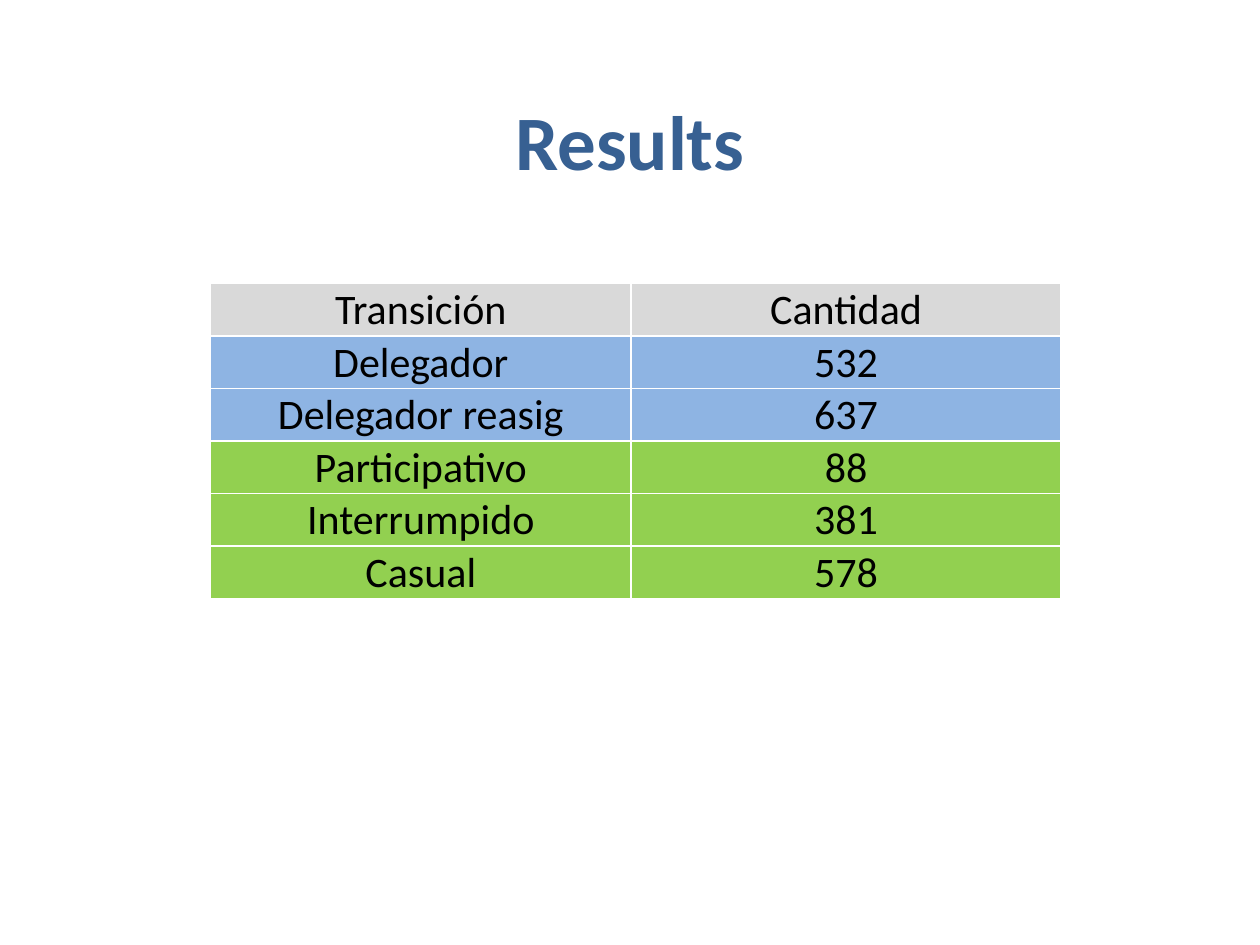
from dataclasses import dataclass

from lxml import etree
from pptx import Presentation
from pptx import util as u
from pptx.dml.color import RGBColor
from pptx.enum import text
from pptx.oxml import ns


@dataclass(frozen=True)
class Theme:
    font: str = "Calibri"
    title: str = "376092"
    ink: str = "000000"
    header: str = "D9D9D9"
    blue: str = "8EB4E3"
    green: str = "92D050"
    border: str = "FFFFFF"
    title_size: int = 44
    cell_size: int = 24
    border_width: int = 1


@dataclass(frozen=True)
class Row:
    label: str
    value: str
    fill: str


THEME = Theme()
COLUMN_WIDTHS = (3.34, 3.41)
ROW_HEIGHT = 0.41
ROWS = (
    Row("Transición", "Cantidad", THEME.header),
    Row("Delegador", "532", THEME.blue),
    Row("Delegador reasig", "637", THEME.blue),
    Row("Participativo", "88", THEME.green),
    Row("Interrumpido", "381", THEME.green),
    Row("Casual", "578", THEME.green),
)


def write(tf, words: str, size: int, color: str, bold: bool = False) -> None:
    p = tf.paragraphs[0]
    p.alignment = text.PP_ALIGN.CENTER
    r = p.add_run()
    r.text = words
    r.font.name = THEME.font
    r.font.size = u.Pt(size)
    r.font.bold = bold
    r.font.color.rgb = RGBColor.from_string(color)


def add_borders(cell) -> None:
    props = cell._tc.get_or_add_tcPr()
    for i, side in enumerate(("lnL", "lnR", "lnT", "lnB")):
        ln = etree.Element(ns.qn(f"a:{side}"), w=str(u.Pt(THEME.border_width)))
        solid = etree.SubElement(ln, ns.qn("a:solidFill"))
        etree.SubElement(solid, ns.qn("a:srgbClr"), val=THEME.border)
        props.insert(i, ln)


def format_cell(cell, words: str, fill: str) -> None:
    cell.margin_left = cell.margin_right = cell.margin_top = u.Inches(0.01)
    cell.margin_bottom = 0
    cell.vertical_anchor = text.MSO_ANCHOR.BOTTOM
    cell.fill.solid()
    cell.fill.fore_color.rgb = RGBColor.from_string(fill)
    add_borders(cell)
    write(cell.text_frame, words, THEME.cell_size, THEME.ink)


def add_title(s, words: str) -> None:
    sp = s.shapes.title
    sp.left, sp.top, sp.width, sp.height = map(u.Inches, (0.69, 0.38, 8.62, 1.45))
    sp.text_frame.vertical_anchor = text.MSO_ANCHOR.MIDDLE
    write(sp.text_frame, words, THEME.title_size, THEME.title, bold=True)


def add_results(s) -> None:
    size = (sum(COLUMN_WIDTHS), ROW_HEIGHT * len(ROWS))
    frame = s.shapes.add_table(
        len(ROWS), len(COLUMN_WIDTHS), *map(u.Inches, (1.67, 2.25, *size))
    )
    table = frame.table
    table.first_row = table.horz_banding = False
    for column, width in zip(table.columns, COLUMN_WIDTHS):
        column.width = u.Inches(width)
    for i, row in enumerate(ROWS):
        table.rows[i].height = u.Inches(ROW_HEIGHT)
        for j, words in enumerate((row.label, row.value)):
            format_cell(table.cell(i, j), words, row.fill)


prs = Presentation()
prs.slide_width, prs.slide_height = u.Inches(10), u.Inches(7.5)
s = prs.slides.add_slide(prs.slide_layouts[5])
add_title(s, "Results")
add_results(s)
prs.save("out.pptx")
